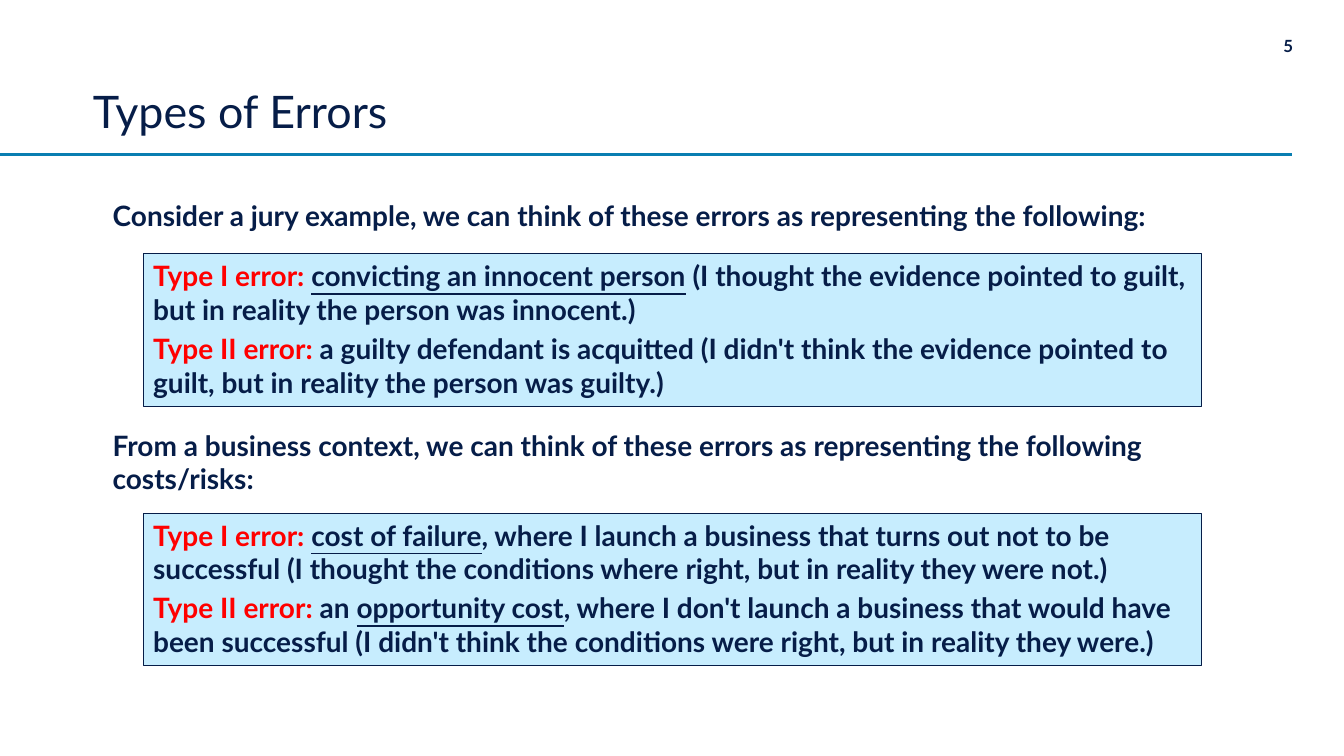
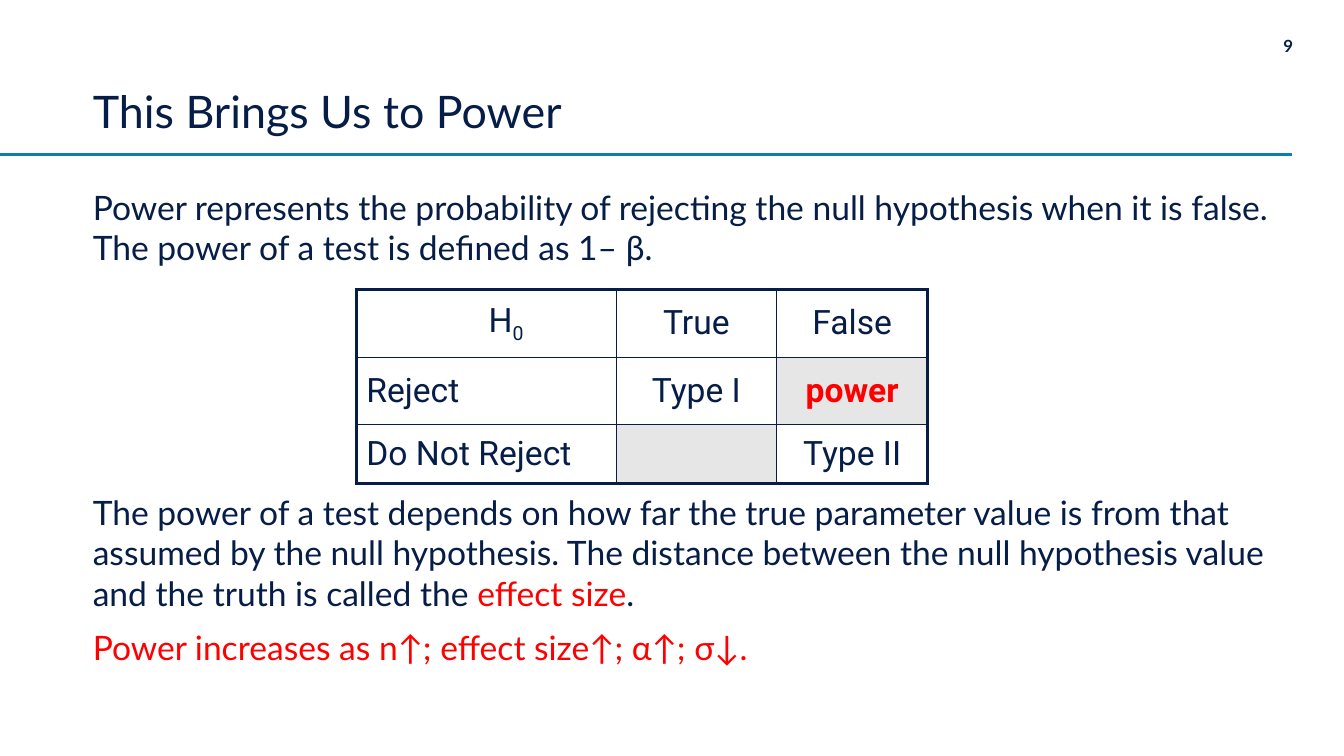
from dataclasses import dataclass
from typing import NamedTuple

from lxml.etree import SubElement
from pptx import Presentation
from pptx.dml.color import RGBColor
from pptx.enum.shapes import MSO_CONNECTOR, MSO_SHAPE
from pptx.enum.text import MSO_ANCHOR, PP_ALIGN
from pptx.oxml.ns import qn
from pptx.util import Cm, Pt


@dataclass(frozen=True)
class Theme:
    """Colours, fonts, type sizes and line widths of the deck."""
    navy: RGBColor = RGBColor(0x06, 0x1D, 0x48)
    red: RGBColor = RGBColor(0xFF, 0x00, 0x00)
    teal: RGBColor = RGBColor(0x09, 0x7E, 0xB1)
    sky: RGBColor = RGBColor(0xC7, 0xED, 0xFE)
    grey: RGBColor = RGBColor(0xE7, 0xE6, 0xE6)
    font: str = "Lato"
    table_font: str = "Roboto"
    number_size: Pt = Pt(12)
    example_size: Pt = Pt(20)
    body_size: Pt = Pt(24)
    title_size: Pt = Pt(32)
    thin: Pt = Pt(1)
    thick: Pt = Pt(2.25)


THEME = Theme()


class Box(NamedTuple):
    """Left, top, width and height of a region."""
    left: int
    top: int
    width: int
    height: int


class Span(NamedTuple):
    """A stretch of text with one look."""
    text: str
    color: RGBColor = THEME.navy
    bold: bool = False
    underline: bool = False
    subscript: bool = False


TITLE_BOX = Box(Cm(2.34), Cm(0.86), Cm(26.11), Cm(2.62))
NUMBER_BOX = Box(Cm(31.55), Cm(0.91), Cm(1.04), Cm(0.51))
RULE_TOP, RULE_END = Cm(3.89), Cm(32.57)


def write_spans(para, spans, size, font=THEME.font, bold=False):
    """Add the spans to a paragraph and format their runs."""
    for span in spans:
        run = para.add_run()
        run.text = span.text
        run.font.name = font
        run.font.size = size
        run.font.bold = bold or span.bold
        run.font.underline = span.underline
        run.font.color.rgb = span.color
        if span.subscript:
            run.font._element.set("baseline", "-25000")


def fill_frame(frame, paragraphs, size, gap=0, bold=False):
    """Write paragraphs with an equal gap between them."""
    frame.word_wrap = True
    for index, spans in enumerate(paragraphs):
        para = frame.add_paragraph() if index else frame.paragraphs[0]
        para.alignment = PP_ALIGN.LEFT
        if index:
            para.space_before = Pt(gap)
        write_spans(para, spans, size, bold=bold)


def add_text(page, box, paragraphs, size, gap=0, bold=False, inset=True):
    """Place a text box and return its frame."""
    frame = page.shapes.add_textbox(*box).text_frame
    if not inset:
        frame.margin_left = frame.margin_right = 0
        frame.margin_top = frame.margin_bottom = 0
    fill_frame(frame, paragraphs, size, gap, bold)
    return frame


def add_page(deck, title, number):
    """Add a page with the shared title, rule and page number."""
    page = deck.slides.add_slide(deck.slide_layouts[6])
    rule = page.shapes.add_connector(MSO_CONNECTOR.STRAIGHT, 0, RULE_TOP, RULE_END, RULE_TOP)
    rule.line.color.rgb = THEME.teal
    rule.line.width = THEME.thick
    SubElement(rule._element.spPr, qn("a:effectLst"))
    frame = add_text(page, NUMBER_BOX, [[Span(number)]], THEME.number_size, bold=True, inset=False)
    frame.paragraphs[0].alignment = PP_ALIGN.RIGHT
    frame = add_text(page, TITLE_BOX, [[Span(title)]], THEME.title_size, inset=False)
    frame.vertical_anchor = MSO_ANCHOR.BOTTOM
    frame.paragraphs[0].line_spacing = 0.9
    return page


def add_example(page, box, intro, errors, panel_offset):
    """Place an introduction with a panel of error types under it."""
    add_text(page, box._replace(height=panel_offset), [[Span(intro)]], THEME.example_size, bold=True)
    indent = Cm(1.02)
    panel = page.shapes.add_shape(
        MSO_SHAPE.RECTANGLE, box.left + indent, box.top + panel_offset,
        box.width - 2 * Cm(1), box.height - panel_offset)
    panel.shadow.inherit = False
    panel.fill.solid()
    panel.fill.fore_color.rgb = THEME.sky
    panel.line.color.rgb = THEME.navy
    panel.line.width = Pt(0.75)
    panel.text_frame.vertical_anchor = MSO_ANCHOR.TOP
    fill_frame(panel.text_frame, errors, THEME.example_size, gap=4, bold=True)


def draw_border(cell, side, width):
    """Draw one side of a table cell."""
    line = SubElement(cell._tc.get_or_add_tcPr(), qn(f"a:ln{side}"), w=str(int(width)))
    fill = SubElement(line, qn("a:solidFill"))
    SubElement(fill, qn("a:srgbClr"), val=str(THEME.navy))


def add_decision_table(page, box, rows, shaded, column_widths, row_heights):
    """Place a table with a thick frame, thin inner lines and shaded cells."""
    last_row, last_column = len(rows) - 1, len(rows[0]) - 1
    table = page.shapes.add_table(len(rows), len(rows[0]), *box).table
    table.first_row = table.horz_banding = False
    for column, width in zip(table.columns, column_widths):
        column.width = width
    for row, height in zip(table.rows, row_heights):
        row.height = height
    for r, row in enumerate(rows):
        for c, spans in enumerate(row):
            cell = table.cell(r, c)
            outer = {"L": c == 0, "R": c == last_column, "T": r == 0, "B": r == last_row}
            for side, is_outer in outer.items():
                draw_border(cell, side, THEME.thick if is_outer else THEME.thin)
            if (r, c) in shaded:
                cell.fill.solid()
                cell.fill.fore_color.rgb = THEME.grey
            else:
                cell.fill.background()
            cell.vertical_anchor = MSO_ANCHOR.MIDDLE
            para = cell.text_frame.paragraphs[0]
            para.alignment = PP_ALIGN.LEFT if c == 0 and r else PP_ALIGN.CENTER
            write_spans(para, spans, THEME.body_size, THEME.table_font)
    corner = table.cell(0, 0).text_frame.paragraphs[0]
    corner._p.get_or_add_pPr().set("indent", str(Cm(1)))


def build_errors_page(deck):
    """Build the page that explains both error types by example."""
    page = add_page(deck, "Types of Errors", "5")
    type_one = Span("Type I error: ", THEME.red)
    type_two = Span("Type II error: ", THEME.red)
    left, width = Cm(2.59), Cm(28.67)
    add_example(
        page, Box(left, Cm(4.88), width, Cm(5.36)),
        "Consider a jury example, we can think of these errors as representing the following:",
        [[type_one, Span("convicting an innocent person", underline=True),
          Span(" (I thought the evidence pointed to guilt, but in reality the person was innocent.)")],
         [type_two, Span("a guilty defendant is acquitted (I didn't think the evidence pointed to "
                         "guilt, but in reality the person was guilty.)")]],
        Cm(1.52))
    add_example(
        page, Box(left, Cm(10.67), width, Cm(6.1)),
        "From a business context, we can think of these errors as representing the following costs/risks:",
        [[type_one, Span("cost of failure", underline=True),
          Span(", where I launch a business that turns out not to be successful (I thought the "
               "conditions where right, but in reality they were not.)")],
         [type_two, Span("an "), Span("opportunity cost", underline=True),
          Span(", where I don't launch a business that would have been successful (I didn't think "
               "the conditions were right, but in reality they were.)")]],
        Cm(2.26))


def build_power_page(deck):
    """Build the page that defines the power of a test."""
    page = add_page(deck, "This Brings Us to Power", "9")
    left, width = TITLE_BOX.left, Cm(30.12)
    add_text(
        page, Box(left, Cm(4.7), width, Cm(2.1)),
        [[Span("Power represents the probability of rejecting the null hypothesis when it is false. "
               "The power of a test is defined as 1– β.")]],
        THEME.body_size, inset=False)
    column_widths = [Cm(6.55), Cm(4.04), Cm(3.81)]
    row_heights = [Cm(1.7), Cm(1.7), Cm(1.48)]
    add_decision_table(
        page, Box(Cm(8.98), Cm(7.3), sum(column_widths), sum(row_heights)),
        [[[Span("H"), Span("0", subscript=True)], [Span("True")], [Span("False")]],
         [[Span("Reject")], [Span("Type I")], [Span("power", THEME.red, bold=True)]],
         [[Span("Do Not Reject")], [], [Span("Type II")]]],
        {(1, 2), (2, 1)}, column_widths, row_heights)
    add_text(
        page, Box(left, Cm(12.4), width, Cm(4.5)),
        [[Span("The power of a test depends on how far the true parameter value is from that assumed "
               "by the null hypothesis. The distance between the null hypothesis value and the truth "
               "is called the "), Span("effect size", THEME.red), Span(".")],
         [Span("Power increases as n↑; effect size↑; α↑; σ↓.", THEME.red)]],
        THEME.body_size, gap=10, inset=False)


def main():
    """Build and save the deck."""
    deck = Presentation()
    deck.slide_width, deck.slide_height = Cm(33.87), Cm(19.05)
    build_errors_page(deck)
    build_power_page(deck)
    deck.save("out.pptx")


if __name__ == "__main__":
    main()
